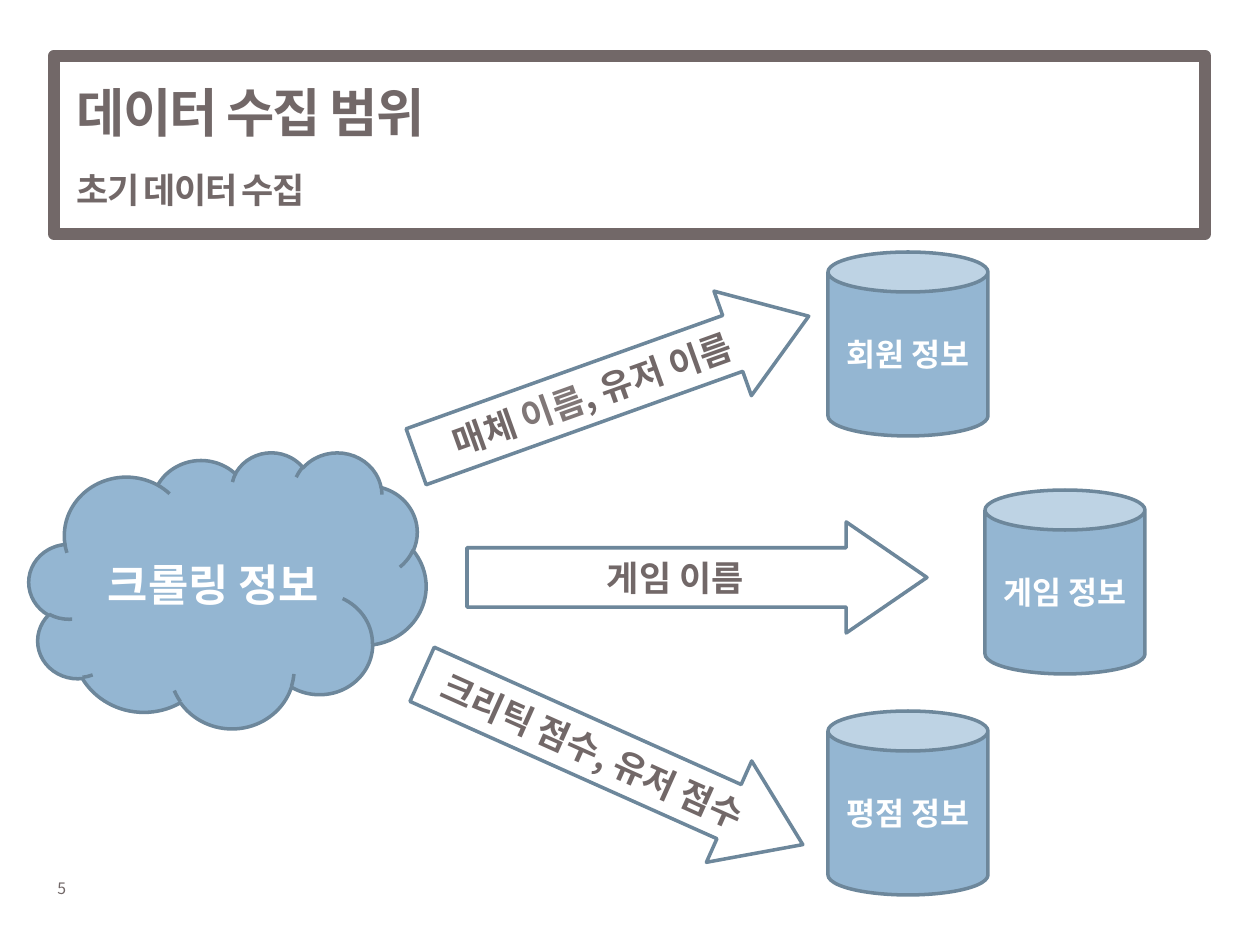
import dataclasses

import lxml.etree
import pptx
import pptx.dml.color
import pptx.enum.shapes
import pptx.enum.text
import pptx.oxml.ns
import pptx.util

SHAPES = pptx.enum.shapes.MSO_SHAPE
ALIGN = pptx.enum.text.PP_ALIGN
PX_PER_INCH = 126


@dataclasses.dataclass(frozen=True)
class Theme:
    font: str = "Noto Sans CJK KR"
    ink: str = "726868"
    soft_ink: str = "807777"
    white: str = "FFFFFF"
    fill: str = "94B6D2"
    outline: str = "6D879B"
    title_size: int = 30
    subtitle_size: int = 20
    cloud_size: int = 25
    store_size: int = 18
    flow_size: int = 20
    number_size: int = 9
    frame_width: int = 7
    outline_width: int = 2


THEME = Theme()


def px(length):
    return pptx.util.Emu(round(length * 914400 / PX_PER_INCH))


def rgb(value):
    return pptx.dml.color.RGBColor.from_string(value)


def format_paragraph(paragraph, size, color, bold=True, align=ALIGN.CENTER):
    paragraph.alignment = align
    font = paragraph.font
    font.name, font.size, font.bold = THEME.font, pptx.util.Pt(size), bold
    font.color.rgb = rgb(color)
    properties = paragraph._p.pPr.find(pptx.oxml.ns.qn("a:defRPr"))
    lxml.etree.SubElement(properties, pptx.oxml.ns.qn("a:ea"), typeface=THEME.font)
    return properties


def add_outlined_shape(slide, kind, box, line, width, fill=None):
    shape = slide.shapes.add_shape(kind, *map(px, box))
    shape.shadow.inherit = False
    if fill:
        shape.fill.solid()
        shape.fill.fore_color.rgb = rgb(fill)
    else:
        shape.fill.background()
    shape.line.color.rgb = rgb(line)
    shape.line.width = pptx.util.Pt(width)
    return shape


def add_header(slide, box, title, subtitle):
    left, top, width, height = box
    placeholder = slide.shapes.title
    placeholder.left, placeholder.top = px(left + 10), px(top)
    placeholder.width, placeholder.height = px(width - 247), px(height)
    frame = placeholder.text_frame
    frame.auto_size = pptx.enum.text.MSO_AUTO_SIZE.NONE
    frame.vertical_anchor = pptx.enum.text.MSO_ANCHOR.MIDDLE
    frame.text = f"{title}\n{subtitle}"
    for paragraph, size in zip(frame.paragraphs, (THEME.title_size, THEME.subtitle_size)):
        properties = format_paragraph(paragraph, size, THEME.ink, align=ALIGN.LEFT)
        properties.set("spc", "-100")
        paragraph.space_before = pptx.util.Pt(0)
    frame.paragraphs[1].space_before = pptx.util.Pt(14.5)
    add_outlined_shape(slide, SHAPES.RECTANGLE, box, THEME.ink, THEME.frame_width)


def add_node(slide, kind, box, label, size):
    node = add_outlined_shape(
        slide, kind, box, THEME.outline, THEME.outline_width, THEME.fill
    )
    node.text_frame.text = label
    format_paragraph(node.text_frame.paragraphs[0], size, THEME.white)


def add_flow(slide, box, rotation, parts):
    arrow = add_outlined_shape(
        slide, SHAPES.RIGHT_ARROW, box, THEME.outline, THEME.outline_width
    )
    arrow.rotation = rotation
    arrow.adjustments[0], arrow.adjustments[1] = 0.535, 0.727
    paragraph = arrow.text_frame.paragraphs[0]
    format_paragraph(paragraph, THEME.flow_size, THEME.ink)
    for text, color in parts:
        run = paragraph.add_run()
        run.text = text
        if color != THEME.ink:
            run.font.color.rgb = rgb(color)


def add_page_number(slide, box, number):
    frame = slide.shapes.add_textbox(*map(px, box)).text_frame
    frame.word_wrap = False
    frame.text = number
    format_paragraph(
        frame.paragraphs[0], THEME.number_size, THEME.ink, bold=False, align=ALIGN.LEFT
    )


def add_collection_diagram(slide, box):
    left, top, width, height = box
    stores = (
        (799, 0, "회원 정보"),
        (799, 459, "평점 정보"),
        (956, 238, "게임 정보"),
    )
    for x, y, label in stores:
        add_node(
            slide, SHAPES.CAN, (left + x, top + y, 160, 184), label, THEME.store_size
        )
    add_node(
        slide, SHAPES.CLOUD, (left, top + 200, 397, 276), "크롤링 정보", THEME.cloud_size
    )
    ink = THEME.ink
    flows = (
        (375, 79, 417, -19.7,
         (("매체 ", ink), ("이름", THEME.soft_ink), (", 유저 이름", ink))),
        (438, 270, 460, 0, (("게임 이름", ink),)),
        (375, 452, 417, 24.1, (("크리틱 점수, 유저 점수", ink),)),
    )
    for x, y, length, rotation, parts in flows:
        add_flow(slide, (left + x, top + y, length, 111), rotation, parts)


def main():
    presentation = pptx.Presentation()
    presentation.slide_width, presentation.slide_height = px(1260), px(945)
    slide = presentation.slides.add_slide(presentation.slide_layouts[5])
    add_page_number(slide, (45, 873, 66, 32), "5")
    add_header(slide, (54, 56, 1151, 178), "데이터 수집 범위", "초기 데이터 수집")
    add_collection_diagram(slide, (29, 252, 1116, 643))
    presentation.save("out.pptx")


if __name__ == "__main__":
    main()
